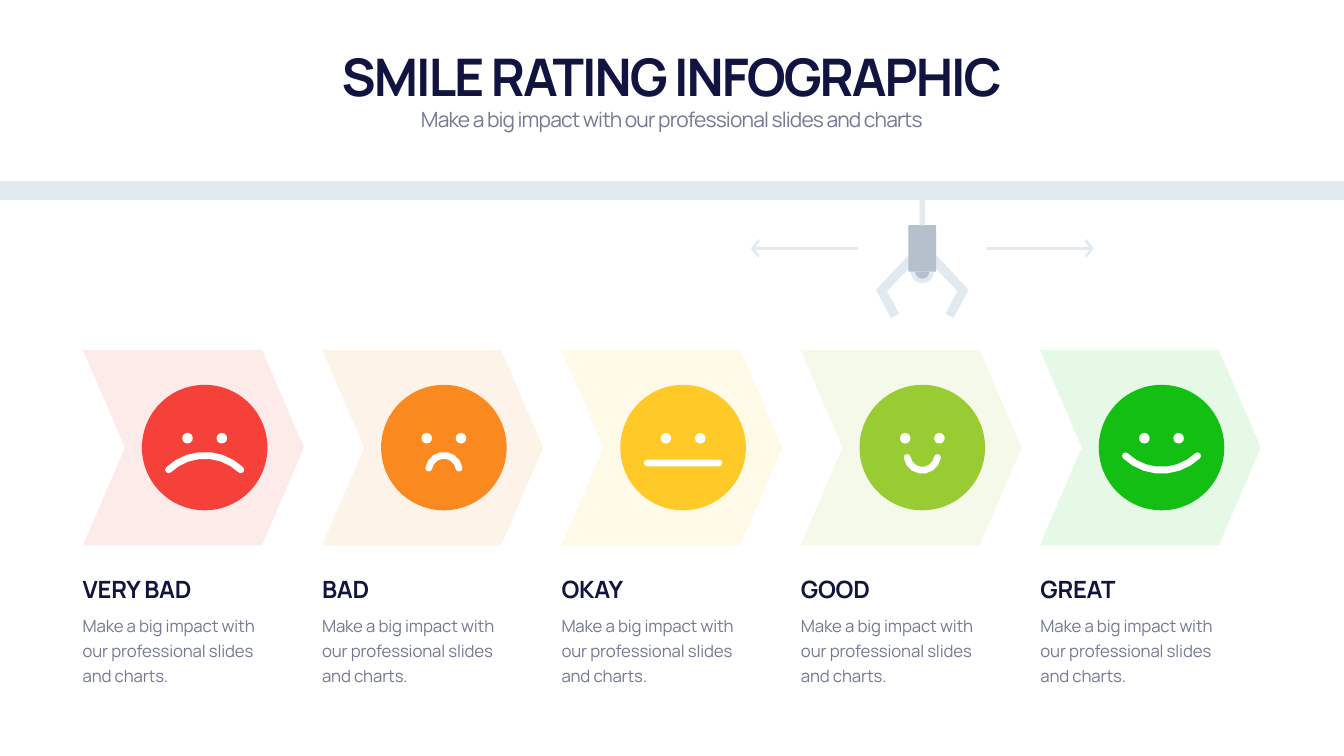
from math import cos, pi, sin

from lxml.etree import SubElement
from pptx import Presentation
from pptx.dml.color import RGBColor
from pptx.enum.shapes import MSO_CONNECTOR, MSO_SHAPE as Shape
from pptx.enum.text import MSO_ANCHOR as Anchor, MSO_AUTO_SIZE as AutoSize, PP_ALIGN as Align
from pptx.oxml.ns import qn
from pptx.util import Inches, Pt

THEME = {
    "font": "Manrope", "dark": "111340", "grey": "747993", "rail": "E0EAF0", "white": "FFFFFF",
    "title": 74, "subtitle": 30, "label": 34, "body": 24,
}
W, H = 26.66, 15
PITCH = 4.745          # distance between rating columns
TEXT_PITCH = 4.75
CHEVRON_X, CHEVRON_Y, CHEVRON_W, CHEVRON_H = 1.645, 6.94, 4.385, 3.88
TEXT_X, TEXT_W = 1.54, 3.64
FACE_X, FACE_R = 4.06, 1.245
MIDDLE_Y = CHEVRON_Y + CHEVRON_H / 2
EYE_Y, EYE_DX, EYE_R = 8.695, 0.34, 0.105
LIP = 0.068            # half the thickness of a mouth
CLAW_X = FACE_X + 3 * PITCH
RAIL_Y, RAIL_H = 3.595, 0.375

# label, colour, mouth: direction of its bulge, apex height, radius, half angle, steps
UP, DOWN = -pi / 2, pi / 2
RATINGS = [
    ("VERY BAD", "F5413A", (UP, 9.035, 1.04, 0.76, 7)),
    ("BAD", "FA8A20", (UP, 9.035, 0.305, 1.4, 7)),
    ("OKAY", "FFC927", (UP, 9.185, 1000, 0.00071, 1)),
    ("GOOD", "99CC33", (DOWN, 9.33, 0.305, 1.4, 7)),
    ("GREAT", "13BF13", (DOWN, 9.33, 1.04, 0.76, 7)),
]


def arc(cx, cy, radius, start, end, steps):
    """Points along a circular arc, angles in radians, clockwise on the slide."""
    angles = [start + (end - start) * i / steps for i in range(steps + 1)]
    return [(cx + radius * cos(a), cy + radius * sin(a)) for a in angles]


prs = Presentation()
prs.slide_width, prs.slide_height = Inches(W), Inches(H)
s = prs.slides.add_slide(prs.slide_layouts[0])

# Each part: preset (None for outlines), box or outlines, colour, opacity in percent
faces = []
for i, (label, color, (bulge, apex, radius, half, steps)) in enumerate(RATINGS):
    x = FACE_X + i * PITCH
    cy = apex - radius * sin(bulge)
    first, last = bulge - half, bulge + half
    (x0, y0), (x1, y1) = arc(x, cy, radius, first, last, 1)
    # The round ends reach the lip curves, so their own end points are left out
    mouth = (arc(x, cy, radius + LIP, first, last, steps)
             + arc(x1, y1, LIP, last, last + pi, 4)[1:-1]
             + arc(x, cy, radius - LIP, last, first, steps)
             + arc(x0, y0, LIP, first + pi, first + 2 * pi, 4)[1:-1])
    eyes = [arc(x + dx, EYE_Y, EYE_R, 0, 2 * pi, 12)[:-1] for dx in (-EYE_DX, EYE_DX)]
    faces += [
        (Shape.CHEVRON, (CHEVRON_X + i * PITCH, CHEVRON_Y, CHEVRON_W, CHEVRON_H), color, 10),
        (Shape.OVAL, (x - FACE_R, MIDDLE_Y - FACE_R, 2 * FACE_R, 2 * FACE_R), color, 100),
        (None, [mouth, *eyes], THEME["white"], 100),
    ]

rail = [(Shape.RECTANGLE, (0, RAIL_Y, W, RAIL_H), THEME["rail"], 100)]

arm = [(0.25, 5.04), (0.92, 5.75), (0.62, 6.31), (0.46, 6.22), (0.7, 5.78), (0.12, 5.17)]
arms = [[(CLAW_X + side * dx, y) for dx, y in arm] for side in (1, -1)]
motor = (CLAW_X - 0.275, 4.465, 0.55, 0.925)
claw = [
    (None, [arc(CLAW_X, 5.39, 0.23, 0, pi, 8), *arms], THEME["rail"], 100),
    (None, [arc(CLAW_X, 5.39, 0.14, 0, pi, 8)], THEME["dark"], 20),
    (Shape.RECTANGLE, motor, THEME["rail"], 100),
    (Shape.RECTANGLE, motor, THEME["dark"], 20),
    (Shape.RECTANGLE, (CLAW_X - 0.055, 3.97, 0.11, 0.5), THEME["rail"], 100),
]

claw_group = s.shapes.add_group_shape()
for shapes, parts in ((s.shapes, faces + rail), (claw_group.shapes, claw)):
    for preset, geometry, color, opacity in parts:
        if preset is None:
            outlines = [[(Inches(x), Inches(y)) for x, y in points] for points in geometry]
            builder = shapes.build_freeform(*outlines[0][0])
            for k, points in enumerate(outlines):
                if k:
                    builder.move_to(*points[0])
                builder.add_line_segments(points[1:], close=True)
            sp = builder.convert_to_shape()
        else:
            sp = shapes.add_shape(preset, *map(Inches, geometry))
        if preset == Shape.CHEVRON:
            sp.adjustments[0] = 0.215
        sp.shadow.inherit = False
        sp.fill.solid()
        sp.fill.fore_color.rgb = RGBColor.from_string(color)
        sp.line.fill.background()
        if opacity < 100:
            clr = sp.fill._xPr.find(".//" + qn("a:srgbClr"))
            SubElement(clr, qn("a:alpha"), val=str(opacity * 1000))

for side in (1, -1):
    ends = [Inches(v) for v in (CLAW_X + side * 1.285, 4.93, CLAW_X + side * 3.4, 4.93)]
    arrow = claw_group.shapes.add_connector(MSO_CONNECTOR.STRAIGHT, *ends)
    arrow.line.color.rgb = RGBColor.from_string(THEME["rail"])
    arrow.line.width = Pt(5)
    SubElement(arrow.line._get_or_add_ln(), qn("a:tailEnd"), type="arrow", w="lg", len="sm")
    SubElement(arrow._element.spPr, qn("a:effectLst"))

STYLES = {
    "title": dict(color="dark", bold=True, spc=-290, align=Align.CENTER, anchor=Anchor.BOTTOM),
    "subtitle": dict(color="grey", bold=False, spc=-120, align=Align.CENTER, anchor=Anchor.TOP),
    "label": dict(color="dark", bold=True, spc=-30, align=Align.LEFT, anchor=Anchor.BOTTOM),
    "body": dict(color="grey", bold=False, spc=-20, align=Align.LEFT, anchor=Anchor.TOP),
}
TAGLINE = "Make a big impact with our professional slides and charts"

# Each text: placeholder (None for a new box), box, wording, style
texts = [
    (s.shapes.title, (1.66, 0.82, 23.33, 1.35), "SMILE RATING INFOGRAPHIC", "title"),
    (s.placeholders[1], (1.66, 2.07, 23.33, 0.61), TAGLINE, "subtitle"),
]
for i, (label, *_) in enumerate(RATINGS):
    x = TEXT_X + i * TEXT_PITCH
    texts += [
        (None, (x, 11.34, TEXT_W, 0.67), label, "label"),
        (None, (x, 12.06, TEXT_W, 1.59), TAGLINE + ".", "body"),
    ]

for sp, box, wording, name in texts:
    style = STYLES[name]
    lengths = [Inches(v) for v in box]
    sp = sp or s.shapes.add_textbox(*lengths)
    for key, value in zip(("left", "top", "width", "height"), lengths):
        setattr(sp, key, value)
    tf = sp.text_frame
    tf.word_wrap = True
    tf.auto_size = AutoSize.SHAPE_TO_FIT_TEXT
    tf.vertical_anchor = style["anchor"]
    p = tf.paragraphs[0]
    p.alignment = style["align"]
    p.space_before = Pt(0)
    if name == "body":
        p.line_spacing = Pt(36)
    r = p.add_run()
    r.text = wording
    for key, value in dict(name=THEME["font"], size=Pt(THEME[name]), bold=style["bold"]).items():
        setattr(r.font, key, value)
    r.font.color.rgb = RGBColor.from_string(THEME[style["color"]])
    r._r.get_or_add_rPr().set("spc", str(style["spc"]))

prs.save("out.pptx")
